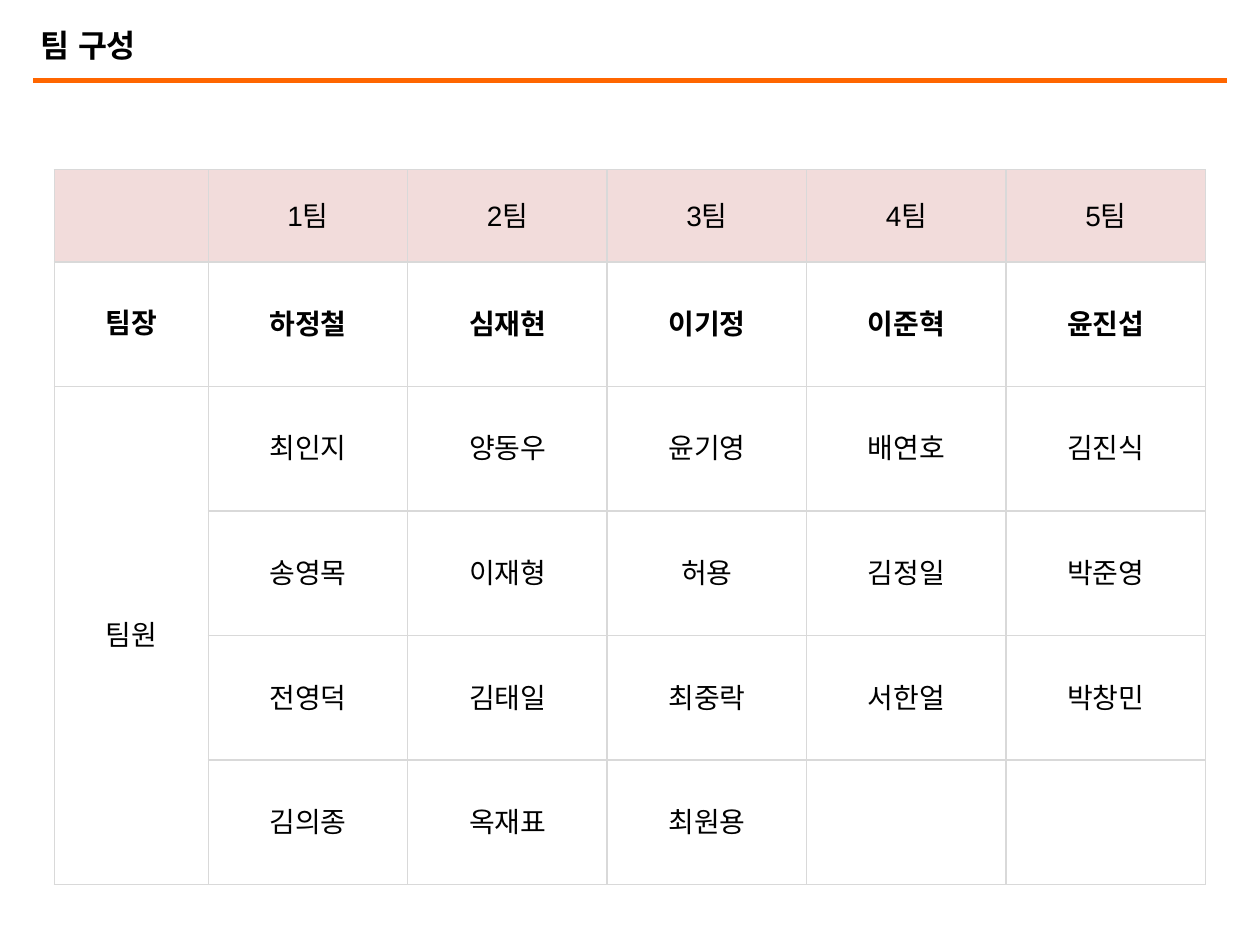
from dataclasses import dataclass

from lxml import etree
from pptx import Presentation
from pptx.dml.color import RGBColor
from pptx.enum.shapes import MSO_CONNECTOR
from pptx.enum.text import MSO_ANCHOR, MSO_AUTO_SIZE, PP_ALIGN
from pptx.oxml.ns import qn
from pptx.util import Pt

LEFT, CENTER = PP_ALIGN.LEFT, PP_ALIGN.CENTER
MIDDLE = MSO_ANCHOR.MIDDLE
STRAIGHT = MSO_CONNECTOR.STRAIGHT
NO_AUTOFIT = MSO_AUTO_SIZE.NONE
TITLE_ONLY = 5

# Content
TITLE = "팀 구성"
TEAMS = [
    ["", "1팀", "2팀", "3팀", "4팀", "5팀"],
    ["팀장", "하정철", "심재현", "이기정", "이준혁", "윤진섭"],
    ["팀원", "최인지", "양동우", "윤기영", "배연호", "김진식"],
    ["", "송영목", "이재형", "허용", "김정일", "박준영"],
    ["", "전영덕", "김태일", "최중락", "서한얼", "박창민"],
    ["", "김의종", "옥재표", "최원용", "", ""],
]
HEADER_ROW, LEADER_ROW, MEMBER_ROW = 0, 1, 2


@dataclass(frozen=True)
class Theme:
    font: str = "Arial"
    text: str = "000000"
    accent: str = "FF6600"
    header: str = "F2DCDB"
    body: str = "FFFFFF"
    border: str = "D9D9D9"
    title_size: int = 18
    table_size: int = 16


THEME = Theme()

# Layout in points
SLIDE_WIDTH, SLIDE_HEIGHT = 720, 540
TITLE_BOX = (15.84, 11.5, 467.3, 28.1)
RULE_MARGIN, RULE_TOP, RULE_WEIGHT = 18.9, 46, 3
TABLE_LEFT, TABLE_TOP = 31, 97
LABEL_WIDTH, TEAM_WIDTH = 88, 114
HEADER_HEIGHT, ROW_HEIGHT = 52.6, 71.2
LABEL_INSETS = (7.2, 7.2, 7.2, 7.2)
NAME_INSETS = (0.75, 0.75, 0.75, 0)


def write_text(frame, text, *, size, bold=False, align=CENTER):
    paragraph = frame.paragraphs[0]
    paragraph.alignment = align
    run = paragraph.add_run()
    run.text = text
    run.font.size = Pt(size)
    run.font.bold = bold
    run.font.name = THEME.font
    run.font.color.rgb = RGBColor.from_string(THEME.text)
    east_asian = etree.SubElement(run.font._element, qn("a:ea"))
    east_asian.set("typeface", THEME.font)


def set_insets(target, insets):
    sides = ("margin_left", "margin_top", "margin_right", "margin_bottom")
    for side, inset in zip(sides, insets):
        setattr(target, side, Pt(inset))


def set_borders(cell):
    properties = cell._tc.get_or_add_tcPr()
    for position, side in enumerate(("a:lnL", "a:lnR", "a:lnT", "a:lnB")):
        line = etree.Element(qn(side), w=str(Pt(1)))
        fill = etree.SubElement(line, qn("a:solidFill"))
        etree.SubElement(fill, qn("a:srgbClr"), val=THEME.border)
        properties.insert(position, line)


presentation = Presentation()
presentation.slide_width = Pt(SLIDE_WIDTH)
presentation.slide_height = Pt(SLIDE_HEIGHT)
slide = presentation.slides.add_slide(presentation.slide_layouts[TITLE_ONLY])

# Title
title = slide.shapes.title
title.left, title.top, title.width, title.height = map(Pt, TITLE_BOX)
title.text_frame.auto_size = NO_AUTOFIT
title.text_frame.word_wrap = True
title.text_frame.vertical_anchor = MIDDLE
set_insets(title.text_frame, (7.2, 3.6, 7.2, 3.6))
write_text(title.text_frame, TITLE, size=THEME.title_size, bold=True, align=LEFT)

# Rule under the title
rule = slide.shapes.add_connector(
    STRAIGHT, Pt(RULE_MARGIN), Pt(RULE_TOP),
    Pt(SLIDE_WIDTH - RULE_MARGIN), Pt(RULE_TOP))
rule.line.color.rgb = RGBColor.from_string(THEME.accent)
rule.line.width = Pt(RULE_WEIGHT)
etree.SubElement(rule._element.spPr, qn("a:effectLst"))

# Team table
widths = [LABEL_WIDTH] + [TEAM_WIDTH] * (len(TEAMS[0]) - 1)
heights = [HEADER_HEIGHT] + [ROW_HEIGHT] * (len(TEAMS) - 1)
table = slide.shapes.add_table(
    len(heights), len(widths), Pt(TABLE_LEFT), Pt(TABLE_TOP),
    Pt(sum(widths)), Pt(sum(heights))).table
table.first_row = table.horz_banding = False
for column, width in zip(table.columns, widths):
    column.width = Pt(width)
for row, height in zip(table.rows, heights):
    row.height = Pt(height)

for row_index, names in enumerate(TEAMS):
    for column_index, name in enumerate(names):
        cell = table.cell(row_index, column_index)
        color = THEME.header if row_index == HEADER_ROW else THEME.body
        cell.fill.solid()
        cell.fill.fore_color.rgb = RGBColor.from_string(color)
        cell.vertical_anchor = MIDDLE
        set_insets(cell, NAME_INSETS if column_index else LABEL_INSETS)
        set_borders(cell)
        if name:
            write_text(cell.text_frame, name, size=THEME.table_size,
                       bold=row_index == LEADER_ROW)

table.cell(MEMBER_ROW, 0).merge(table.cell(len(TEAMS) - 1, 0))

presentation.save("out.pptx")
